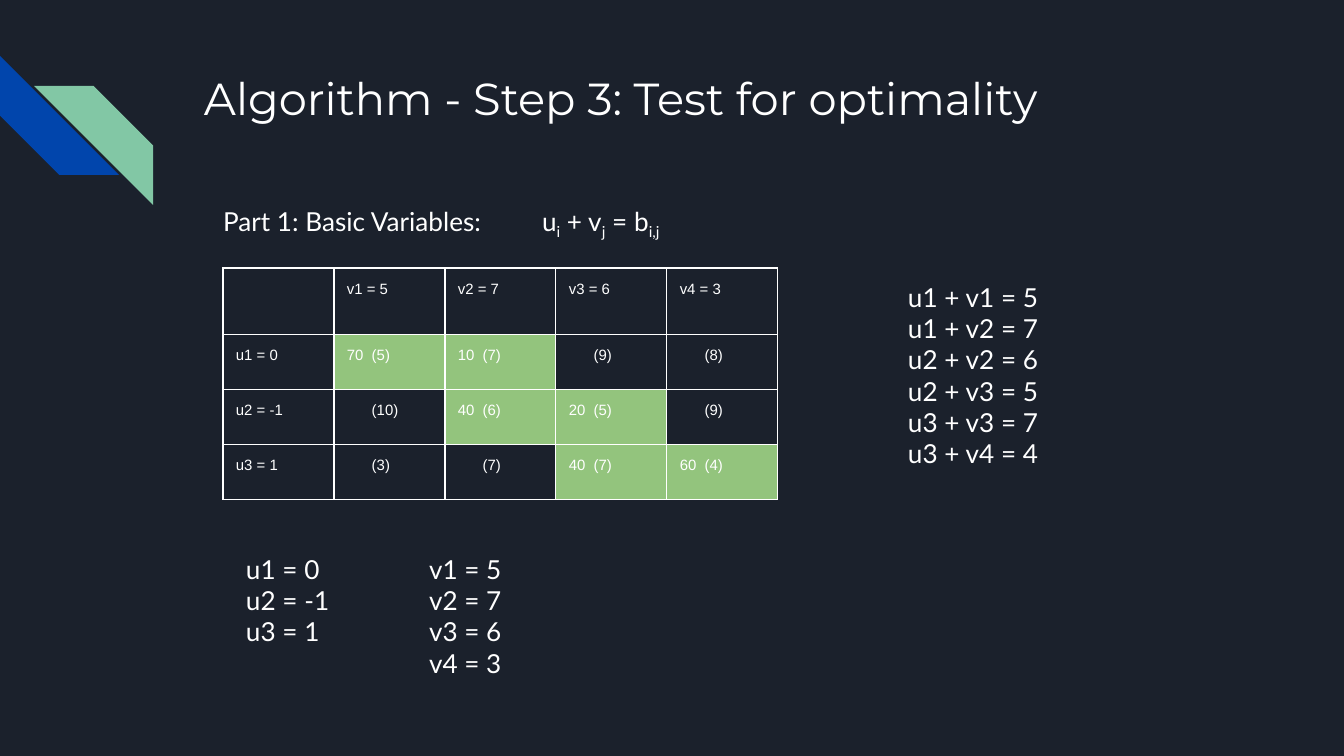
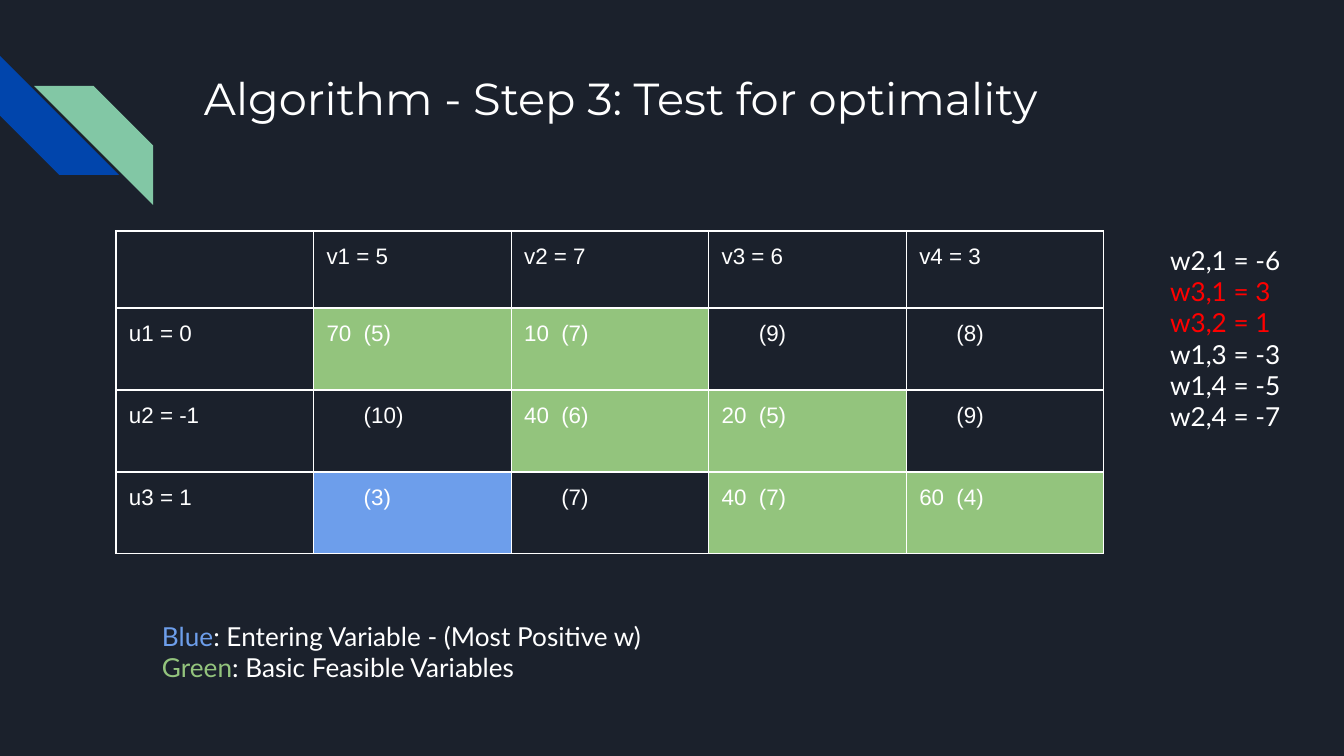
from lxml.etree import SubElement
from pptx import Presentation
from pptx.dml.color import RGBColor
from pptx.enum.shapes import MSO_SHAPE
from pptx.oxml.ns import qn
from pptx.util import Emu, Pt

NAVY = RGBColor(0x1B, 0x21, 0x2C)
ROYAL = RGBColor(0x01, 0x45, 0xAC)
MINT = RGBColor(0x82, 0xC7, 0xA5)
WHITE = RGBColor(0xFF, 0xFF, 0xFF)
GREEN = RGBColor(0x93, 0xC4, 0x7D)
BLUE = RGBColor(0x6D, 0x9E, 0xEB)
RED = RGBColor(0xFF, 0x00, 0x00)

WIDTH, HEIGHT = 1344, 756
SCALE = 9144000 / WIDTH
INSET = 13

TITLE = "Algorithm - Step 3: Test for optimality"
STRIPES = [(0, 56, 270, ROYAL), (34, 86, 90, MINT)]
COSTS = [
    ["", "v1 = 5", "v2 = 7", "v3 = 6", "v4 = 3"],
    ["u1 = 0", "70\t(5)", "10\t(7)", "\t(9)", "\t(8)"],
    ["u2 = -1", "\t(10)", "40\t(6)", "20\t(5)", "\t(9)"],
    ["u3 = 1", "\t(3)", "\t(7)", "40\t(7)", "60\t(4)"],
]

# A line is a string, or a list of strings and (text, style) pairs.
SUB = "sub"
FORMULA = [["Part 1: Basic Variables:\tu", ("i", SUB), " + v", ("j", SUB),
            " = b", ("i,j", SUB)]]
SUMS = ["u1 + v1 = 5", "u1 + v2 = 7", "u2 + v2 = 6",
        "u2 + v3 = 5", "u3 + v3 = 7", "u3 + v4 = 4"]
ROW_DUALS = ["u1 = 0", "u2 = -1", "u3 = 1"]
COL_DUALS = ["v1 = 5", "v2 = 7", "v3 = 6", "v4 = 3"]
GAINS = ["w2,1 = -6", [("w3,1 = 3", RED)], [("w3,2 = 1", RED)],
         "w1,3 = -3", "w1,4 = -5", "w2,4 = -7"]
LEGEND = [[("Blue", BLUE), ": Entering Variable - (Most Positive w)"],
          [("Green", GREEN), ": Basic Feasible Variables"]]

SLIDES = [
    {
        "table": dict(box=(223, 268, 555), rows=(52, 55), size=8),
        "texts": [
            ((895, 268, 168, 247), SUMS),
            ((210, 192, 555, 63), FORMULA),
            ((233, 540, 110, 153), ROW_DUALS),
            ((416, 540, 110, 153), COL_DUALS),
        ],
    },
    {
        "table": dict(box=(116, 231, 988), rows=(77, 82), size=12,
                      entering=(3, 1)),
        "texts": [
            ((1157, 231, 150, 153), GAINS),
            ((149, 607, 585, 106), LEGEND),
        ],
    },
]
FORMULA_TAB = 319


def px(n):
    return Emu(round(n * SCALE))


def style(run, font, size, color=WHITE):
    run.font.name = font
    run.font.size = Pt(size)
    run.font.color.rgb = color


def set_tab(para, pos):
    tabs = SubElement(para._p.get_or_add_pPr(), qn("a:tabLst"))
    SubElement(tabs, qn("a:tab"), pos=str(px(pos)), algn="l")


def pad(frame):
    """Give a text frame or a cell the same inset on all sides."""
    frame.margin_left = frame.margin_right = px(INSET)
    frame.margin_top = frame.margin_bottom = px(INSET)


def add_text(slide, box, lines, font="Lato", size=14):
    frame = slide.shapes.add_textbox(*map(px, box)).text_frame
    frame.word_wrap = True
    pad(frame)
    for i, line in enumerate(lines):
        para = frame.paragraphs[0] if i == 0 else frame.add_paragraph()
        for part in [line] if isinstance(line, str) else line:
            text, look = (part, WHITE) if isinstance(part, str) else part
            run = para.add_run()
            run.text = text
            style(run, font, size, WHITE if look == SUB else look)
            if look == SUB:
                run.font._element.set("baseline", "-25000")
            if "\t" in text:
                set_tab(para, FORMULA_TAB)


def add_edges(cell):
    props = cell._tc.get_or_add_tcPr()
    for side in ("lnL", "lnR", "lnT", "lnB"):
        line = SubElement(props, qn(f"a:{side}"), w=str(Pt(0.75)))
        fill = SubElement(line, qn("a:solidFill"))
        SubElement(fill, qn("a:srgbClr"), val=str(WHITE))


def add_costs(slide, box, rows, size, entering=None):
    left, top, width = box
    head, body = rows
    count = len(COSTS)
    high = head + body * (count - 1)
    table = slide.shapes.add_table(
        count, len(COSTS[0]), *map(px, (left, top, width, high))).table
    table.first_row = table.horz_banding = False
    for col in table.columns:
        col.width = px(width / len(COSTS[0]))
    for r, line in enumerate(COSTS):
        table.rows[r].height = px(body if r else head)
        for c, text in enumerate(line):
            cell = table.cell(r, c)
            pad(cell)
            add_edges(cell)
            if (r, c) == entering:
                fill = BLUE
            else:
                fill = GREEN if text[:1].isdigit() else None
            if fill:
                cell.fill.solid()
                cell.fill.fore_color.rgb = fill
            else:
                cell.fill.background()
            para = cell.text_frame.paragraphs[0]
            para.text = text
            for run in para.runs:
                style(run, "Arial", size)
            if "\t" in text:
                set_tab(para, size * 3.1)


def add_base(deck):
    """Add a slide with the shared background, stripes and title."""
    slide = deck.slides.add_slide(deck.slide_layouts[6])
    back = slide.background.fill
    back.solid()
    back.fore_color.rgb = NAVY
    for left, top, turn, color in STRIPES:
        stripe = slide.shapes.add_shape(
            MSO_SHAPE.DIAGONAL_STRIPE, *map(px, (left, top, 119, 119)))
        stripe.rotation = turn
        stripe.shadow.inherit = False
        stripe.fill.solid()
        stripe.fill.fore_color.rgb = color
        stripe.line.fill.background()
    add_text(slide, (191, 58, 1035, 134), [TITLE], "Montserrat", 24)
    return slide


def main():
    deck = Presentation()
    deck.slide_width, deck.slide_height = px(WIDTH), px(HEIGHT)
    for data in SLIDES:
        slide = add_base(deck)
        add_costs(slide, **data["table"])
        for box, lines in data["texts"]:
            add_text(slide, box, lines)
    deck.save("out.pptx")


if __name__ == "__main__":
    main()
